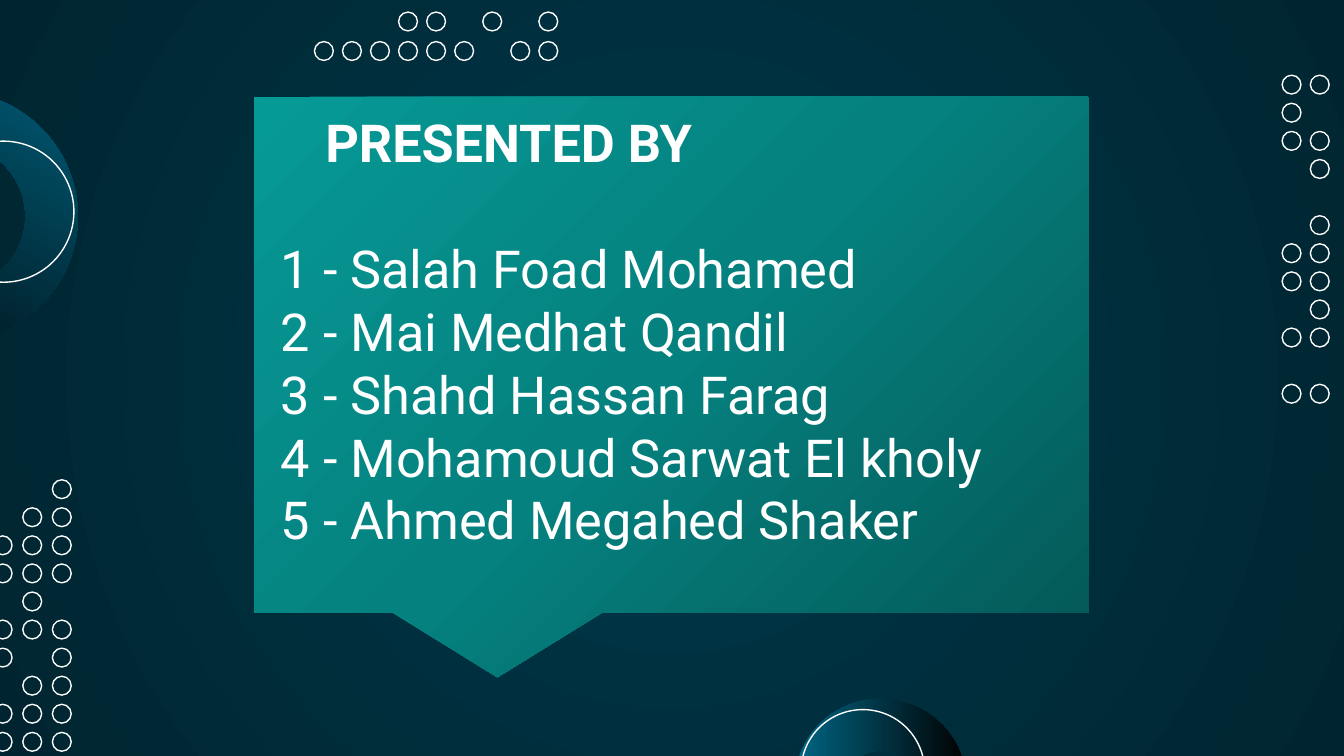
from lxml.etree import SubElement
from pptx import Presentation
from pptx.dml.color import RGBColor
from pptx.enum.shapes import MSO_SHAPE as Shape
from pptx.enum.text import MSO_ANCHOR as Anchor, MSO_AUTO_SIZE as AutoSize, PP_ALIGN as Align
from pptx.oxml.ns import qn
from pptx.util import Inches, Pt

WHITE = "FFFFFF"
DOT_SIZE = 0.14
PRESENTERS = [
    "Salah Foad Mohamed",
    "Mai Medhat Qandil",
    "Shahd Hassan Farag",
    "Mohamoud Sarwat El kholy",
    "Ahmed Megahed Shaker",
]
RIGHT_DOTS = ["oo", "o.", "oo", ".o", "..", ".o", "oo", "oo", ".o", "oo", "..", "oo"]
LEFT_DOTS = ["..o", ".oo", "ooo", "ooo", ".o.", "ooo", "o.o", ".oo", "ooo", "ooo"]
TOP_DOTS = ["...oo.o.o", "oooooo.oo"]


def color(hex_value):
    return RGBColor.from_string(hex_value)


def set_gradient(fill, holder, stops, center=None):
    fill.gradient()
    gradient = holder.xpath(".//a:gradFill")[0]
    for child in list(gradient):
        gradient.remove(child)
    gradient.set("rotWithShape", "1")
    stop_list = SubElement(gradient, qn("a:gsLst"))
    for position, hex_value in stops:
        stop = SubElement(stop_list, qn("a:gs"), pos=str(position * 1000))
        SubElement(stop, qn("a:srgbClr"), val=hex_value)
    if center is None:
        SubElement(gradient, qn("a:lin"), ang="5400000", scaled="0")
    else:
        circle = SubElement(gradient, qn("a:path"), path="circle")
        edges = {side: str(share * 1000) for side, share in zip("ltrb", center)}
        SubElement(circle, qn("a:fillToRect"), **edges)


def add_preset(slide, preset, left, top, width, height):
    shape = slide.shapes.add_shape(
        preset, Inches(left), Inches(top), Inches(width), Inches(height)
    )
    shape.shadow.inherit = False
    shape.line.fill.background()
    return shape


def add_ring(slide, left, top, size):
    ring = add_preset(slide, Shape.OVAL, left, top, size, size)
    ring.fill.background()
    ring.line.color.rgb = color(WHITE)
    ring.line.width = Pt(0.75)


def add_dot_grid(slide, rows, left, top, last_left, last_top):
    column_step = (last_left - left) / (len(rows[0]) - 1)
    row_step = (last_top - top) / (len(rows) - 1)
    for row, marks in enumerate(rows):
        for column, mark in enumerate(marks):
            if mark == "o":
                add_ring(slide, left + column * column_step, top + row * row_step, DOT_SIZE)


def add_arc(slide, left, top, size, rotation, adjustments):
    arc = add_preset(slide, Shape.BLOCK_ARC, left, top, size, size)
    arc.rotation = rotation
    arc._element.spPr.xfrm.set("flipH", "1")
    for index, value in enumerate(adjustments):
        arc.adjustments[index] = value
    set_gradient(arc.fill, arc._element.spPr, [(0, "006685"), (100, "010101")])


def add_callout(slide):
    callout = add_preset(slide, Shape.RECTANGULAR_CALLOUT, 1.89, 0.72, 6.21, 3.84)
    stops = [(0, "045B59"), (50, "05817F"), (100, "069A96")]
    set_gradient(callout.fill, callout._element.spPr, stops, (100, 100, 0, 0))


def fill_placeholder(slide, placeholder, lines, left, top, width, height, bold):
    slide.shapes._spTree.append(placeholder._element)
    placeholder.left, placeholder.top = Inches(left), Inches(top)
    placeholder.width, placeholder.height = Inches(width), Inches(height)
    frame = placeholder.text_frame
    frame.text = "\n".join(lines)
    frame.word_wrap = True
    frame.auto_size = AutoSize.NONE
    frame.vertical_anchor = Anchor.TOP
    frame.margin_left = frame.margin_right = frame.margin_top = frame.margin_bottom = 0
    for paragraph in frame.paragraphs:
        properties = paragraph._p.get_or_add_pPr()
        properties.set("marL", "0")
        properties.set("indent", "0")
        SubElement(properties, qn("a:buNone"))
        paragraph.alignment = Align.LEFT
        paragraph.space_before = Pt(0)
        for run in paragraph.runs:
            run.font.name = "Roboto"
            run.font.size = Pt(28)
            run.font.bold = bold
            run.font.color.rgb = color(WHITE)


def main():
    deck = Presentation()
    deck.slide_width = Inches(10)
    deck.slide_height = deck.slide_width * 9 // 16
    slide = deck.slides.add_slide(deck.slide_layouts[1])
    heading, presenter_list = slide.placeholders

    background_fill = slide.background.fill
    background = slide._element.xpath("./p:cSld/p:bg")[0]
    set_gradient(background_fill, background, [(0, "00394B"), (100, "002530")], (50, 50, 50, 50))

    add_dot_grid(slide, RIGHT_DOTS, 9.54, 0.56, 9.75, 2.86)
    add_dot_grid(slide, LEFT_DOTS, -0.05, 3.57, 0.39, 5.45)
    add_arc(slide, -1.28, 0.68, 1.86, 30.9, (59.58, 175.5, 0.21))
    add_ring(slide, -0.5, 1.05, 1.05)
    add_arc(slide, 5.91, 5.2, 1.28, 270, (42.06, 179.87, 0.3))
    add_ring(slide, 5.96, 5.28, 0.92)
    add_callout(slide)
    add_dot_grid(slide, TOP_DOTS, 2.34, 0.09, 4.01, 0.31)

    fill_placeholder(slide, heading, ["PRESENTED BY"], 2.42, 0.82, 5.6, 0.5, True)
    names = [f"{number} - {name}" for number, name in enumerate(PRESENTERS, 1)]
    fill_placeholder(slide, presenter_list, names, 2.09, 1.76, 5.9, 2.4, False)
    deck.save("out.pptx")


if __name__ == "__main__":
    main()
